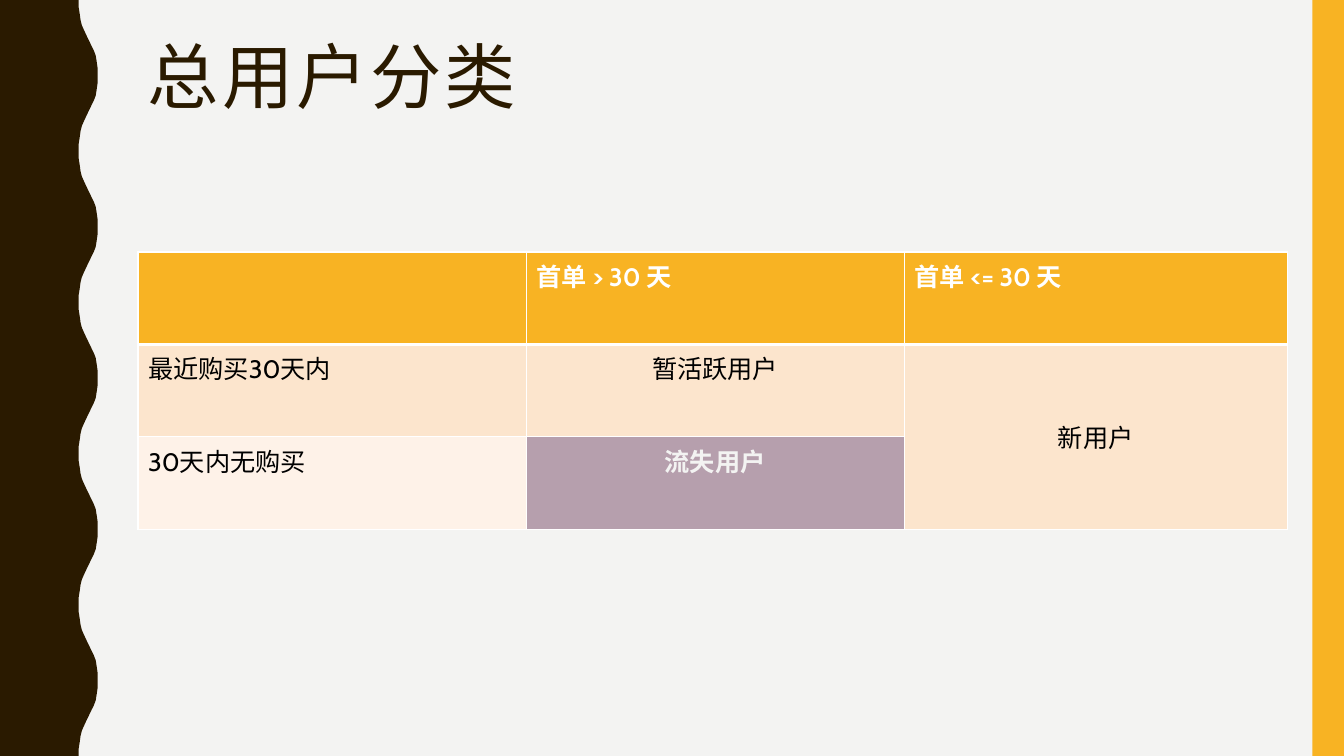
"""Build the slide that sorts all users into classes by first and latest order."""
from lxml import etree
from pptx import Presentation
from pptx.dml.color import RGBColor
from pptx.enum.shapes import MSO_SHAPE as SHAPE
from pptx.enum.text import MSO_ANCHOR as ANCHOR, PP_ALIGN as ALIGN
from pptx.oxml import parse_xml
from pptx.oxml.ns import nsdecls
from pptx.util import Pt

BROWN, GOLD, PAPER, WHITE = "2A1A00", "F8B323", "F3F3F2", "FFFFFF"
PEACH, CREAM, MAUVE = "FCE5CD", "FEF2E8", "B69FAD"


def paint(fill, color):
    """Make a fill solid in the given hex colour."""
    fill.solid()
    fill.fore_color.rgb = RGBColor.from_string(color)


def write(tf, text, size=18, font="Cabin", color="000000", bold=False,
          align=ALIGN.LEFT, spacing=0, line=1.0):
    """Write one formatted paragraph into a text frame."""
    p = tf.paragraphs[0]
    p.alignment = align
    p.line_spacing = line
    r = p.add_run()
    r.text = text
    r.font.size = Pt(size)
    r.font.name = font
    r.font.bold = bold
    paint(r.font.fill, color)
    if spacing:
        r.font._element.set("spc", str(spacing * 100))


prs = Presentation()
prs.slide_width, prs.slide_height = Pt(960), Pt(540)
s = prs.slides.add_slide(prs.slide_layouts[6])
paint(s.background.fill, PAPER)

half_wave = [(56.2, 0), (56.2, 5), (57, 10), (57.6, 14.4), (58.5, 18),
             (59.8, 21), (61.2, 24), (62.6, 27), (64.1, 30), (65.5, 33),
             (67, 36), (68.4, 39.6), (69.1, 44), (69.8, 49), (69.8, 54)]
period = 108
wave = half_wave + [(x, period - y) for x, y in half_wave[-2::-1]]
edge = [(x, y + period * i) for i in range(5) for x, y in wave]
builder = s.shapes.build_freeform(0, 0)
builder.add_line_segments([(Pt(x), Pt(y)) for x, y in edge + [(0, 540)]])
band = builder.convert_to_shape()
bar = s.shapes.add_shape(SHAPE.RECTANGLE, Pt(937.5), 0, Pt(22.5), Pt(540))
for sp, color in ((band, BROWN), (bar, GOLD)):
    sp.shadow.inherit = False
    paint(sp.fill, color)
    sp.line.fill.background()

title = s.shapes.add_textbox(Pt(98.6), Pt(30.2), Pt(801.4), Pt(117.4))
tf = title.text_frame
tf.word_wrap = True
tf.margin_top = 0
write(tf, "总用户分类", size=51, font="Arial Narrow", color=BROWN,
      spacing=2, line=0.9)

widths = [277.2, 270, 273.6]
row_height = 66
header = dict(color=WHITE, bold=True)
centred = dict(align=ALIGN.CENTER)
lost = dict(color=PAPER, bold=True, align=ALIGN.CENTER)
rows = [
    [("", GOLD, header), ("首单 > 30 天", GOLD, header), ("首单 <= 30 天", GOLD, header)],
    [("最近购买30天内", PEACH, {}), ("暂活跃用户", PEACH, centred), ("新用户", PEACH, centred)],
    [("30天内无购买", CREAM, {}), ("流失用户", MAUVE, lost), ("", PEACH, {})],
]
frame = s.shapes.add_table(3, 3, Pt(98.6), Pt(180), Pt(sum(widths)), Pt(3 * row_height))
table = frame.table
table.horz_banding = False
for column, width in zip(table.columns, widths):
    column.width = Pt(width)
for i, row in enumerate(rows):
    table.rows[i].height = Pt(row_height)
    for j, (text, color, style) in enumerate(row):
        cell = table.cell(i, j)
        paint(cell.fill, color)
        if text:
            write(cell.text_frame, text, **style)
        tcPr = cell._tc.get_or_add_tcPr()
        for k, side in enumerate(("lnL", "lnR", "lnT", "lnB")):
            thick = (i, side) in ((0, "lnB"), (1, "lnT"))
            ln = parse_xml(f'<a:{side} {nsdecls("a")} w="{Pt(3 if thick else 1)}"/>')
            solid = etree.SubElement(ln, ln.tag.replace(side, "solidFill"))
            etree.SubElement(solid, ln.tag.replace(side, "srgbClr"), val=WHITE)
            tcPr.insert(k, ln)
new_users = table.cell(1, 2)
new_users.merge(table.cell(2, 2))
new_users.vertical_anchor = ANCHOR.MIDDLE

prs.save("out.pptx")
